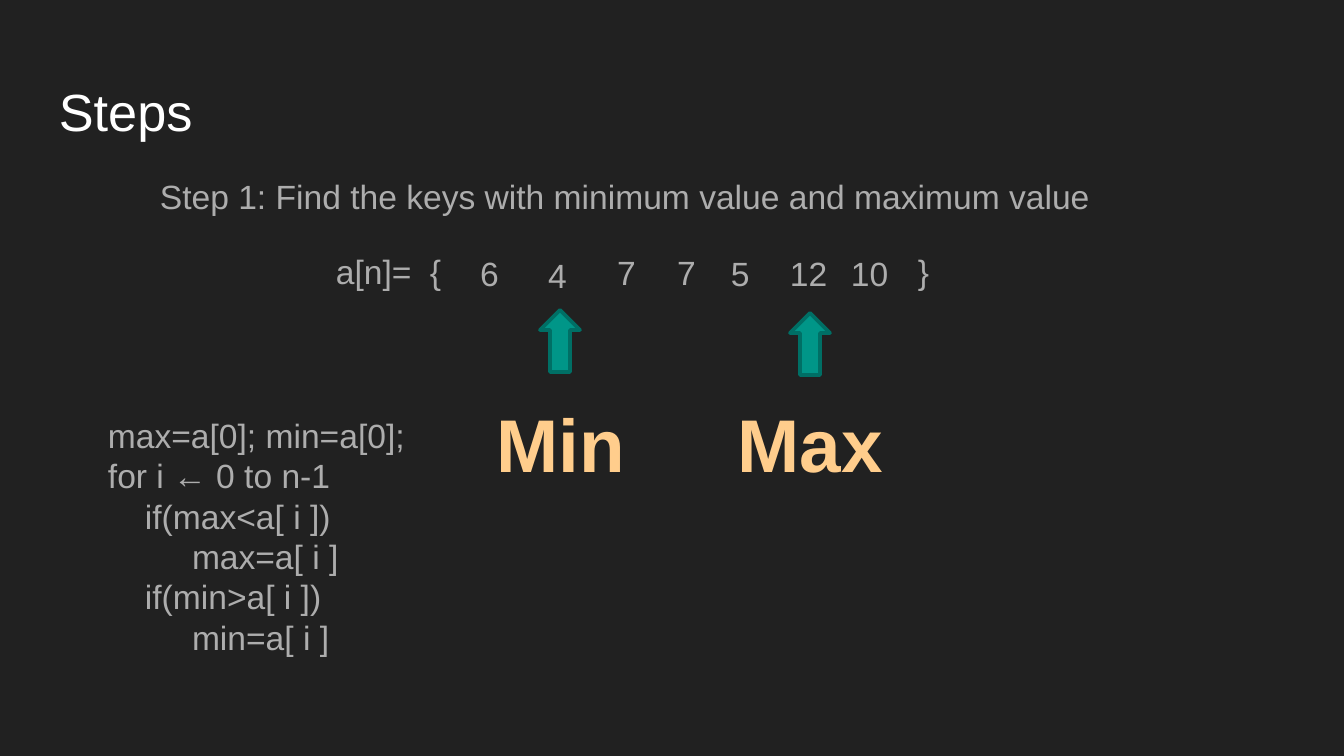
from dataclasses import dataclass

from lxml import etree
from pptx import Presentation
from pptx.dml.color import RGBColor
from pptx.enum.shapes import MSO_SHAPE
from pptx.enum.text import PP_ALIGN
from pptx.oxml.ns import qn
from pptx.util import Pt

DOWN_ARROW = MSO_SHAPE.DOWN_ARROW
LEFT, CENTER = PP_ALIGN.LEFT, PP_ALIGN.CENTER
EMU_PER_PIXEL = 914400 / 134.4


@dataclass(frozen=True)
class Theme:
    font: str = "Arial"
    background: str = "212121"
    title: str = "FFFFFF"
    body: str = "ADADAD"
    label: str = "FFCD8C"
    arrow: str = "009688"
    arrow_line: str = "006F65"
    title_size: int = 28
    body_size: int = 18
    label_size: int = 40


THEME = Theme()


def px(length):
    return round(length * EMU_PER_PIXEL)


def color(value):
    return RGBColor.from_string(value)


def add_text(slide, box, text, *, size=THEME.body_size, ink=THEME.body, bold=False,
             align=LEFT, spacing=1.0, after=0, inset=13, indents=(), tab=None):
    shape = slide.shapes.add_textbox(*map(px, box))
    frame = shape.text_frame
    frame.word_wrap = True
    frame.margin_left = frame.margin_right = px(13)
    frame.margin_top = frame.margin_bottom = px(inset)
    frame.text = text
    for index, paragraph in enumerate(frame.paragraphs):
        paragraph.alignment = align
        paragraph.line_spacing = spacing
        paragraph.space_after = Pt(after)
        font = paragraph.runs[0].font
        for run in paragraph.runs:
            font = run.font
            font.name, font.size, font.bold = THEME.font, Pt(size), bold
            font.color.rgb = color(ink)
        properties = paragraph._p.get_or_add_pPr()
        if indents:
            properties.set("marL", str(px(indents[index])))
        if tab:
            stops = etree.SubElement(properties, qn("a:tabLst"))
            etree.SubElement(stops, qn("a:tab"), pos=str(px(tab)), algn="l")


def add_heading(slide, box):
    left, top, width, height = box
    add_text(slide, (left, top, width, 84), "Steps",
             size=THEME.title_size, ink=THEME.title)
    add_text(slide, (left + 101, top + 91, 968, height - 91),
             "Step 1: Find the keys with minimum value and maximum value",
             spacing=1.15, after=16)


def add_array(slide, box):
    left, top, width, height = box
    tokens = [
        ("a[n]=\t{", 0, 0, 142),
        ("6", 144, 2, 52),
        ("4", 212, 4, 52),
        ("7", 281, 1, 52),
        ("7", 341, 1, 52),
        ("5", 395, 2, 52),
        ("12", 454, 2, 66),
        ("10", 515, 2, 67),
        ("}", width - 52, 0, 52),
    ]
    for text, x, y, token_width in tokens:
        add_text(slide, (left + x, top + y, token_width, height), text,
                 spacing=1.15, after=16, tab=94 if "\t" in text else None)


def add_marker(slide, box, text, arrow_x, arrow_y):
    left, top, width, height = box
    arrow = slide.shapes.add_shape(
        DOWN_ARROW, *map(px, (left + arrow_x, top + arrow_y, 40, 62)))
    arrow.rotation = 180
    arrow.shadow.inherit = False
    arrow.fill.solid()
    arrow.fill.fore_color.rgb = color(THEME.arrow)
    arrow.line.color.rgb = color(THEME.arrow_line)
    arrow.line.width = Pt(2)
    add_text(slide, (left, top + height - 103, width, 103), text,
             size=THEME.label_size, ink=THEME.label, bold=True, align=CENTER, inset=7)


def add_code(slide, box):
    lines = [
        ("max=a[0]; min=a[0];", 0),
        ("for i ← 0 to n-1", 0),
        ("if(max<a[ i ])", 37),
        ("max=a[ i ]", 84),
        ("if(min>a[ i ])", 37),
        ("min=a[ i ]", 84),
    ]
    texts, indents = zip(*lines)
    add_text(slide, box, "\n".join(texts), indents=indents)


def build_slide(presentation):
    slide = presentation.slides.add_slide(presentation.slide_layouts[6])
    slide.background.fill.solid()
    slide.background.fill.fore_color.rgb = color(THEME.background)
    add_heading(slide, (46, 66, 1253, 169))
    add_array(slide, (323, 232, 634, 63))
    add_code(slide, (95, 402, 368, 265))
    add_marker(slide, (454, 310, 214, 184), "Min", 86, 0)
    add_marker(slide, (703, 310, 214, 184), "Max", 87, 3)


presentation = Presentation()
presentation.slide_width, presentation.slide_height = px(1344), px(756)
build_slide(presentation)
presentation.save("out.pptx")
